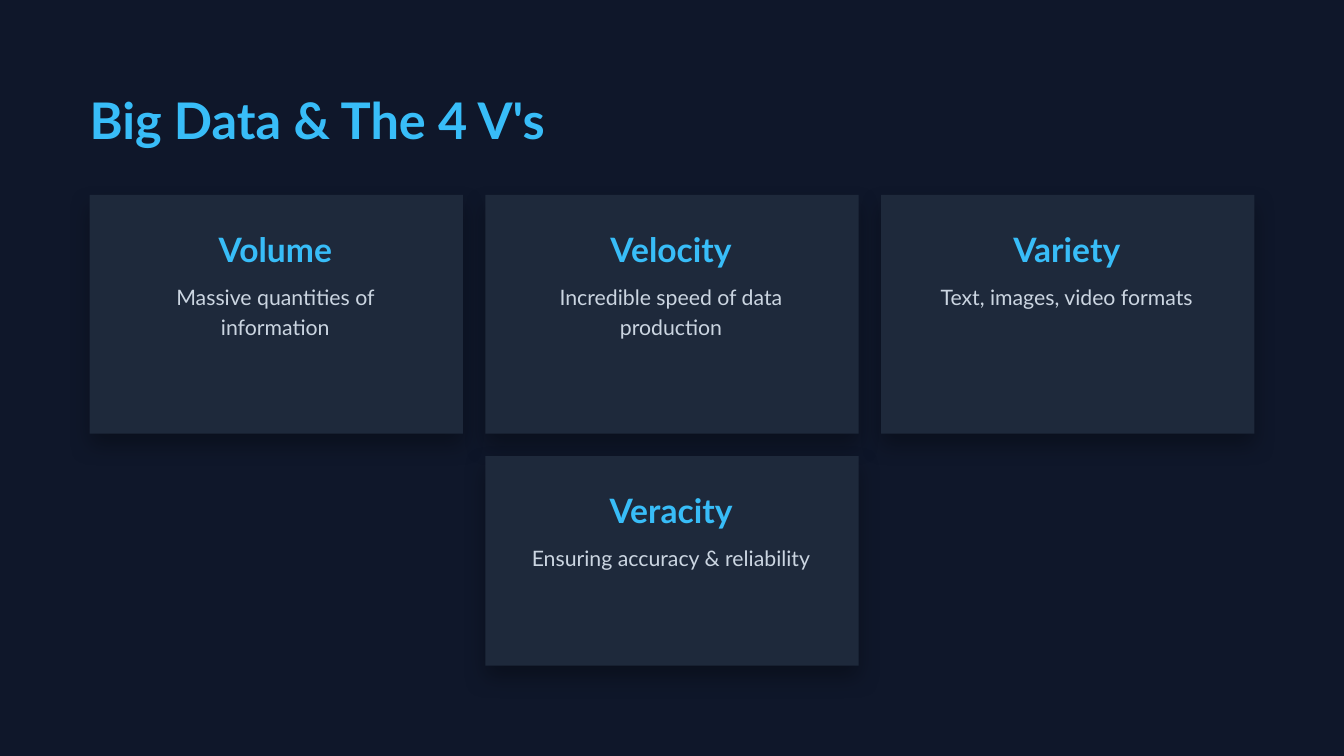
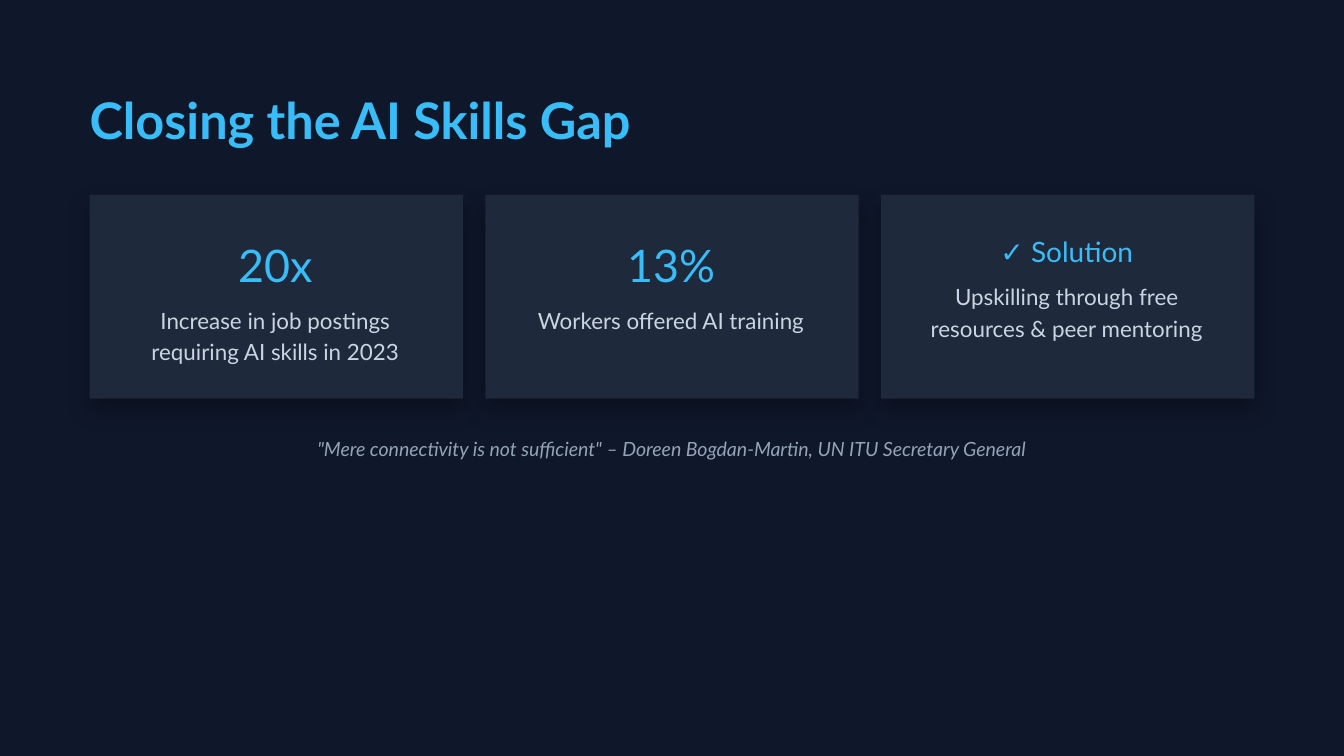
from lxml import etree
from pptx import Presentation
from pptx.dml.color import RGBColor
from pptx.enum import shapes, text
from pptx.oxml import ns
from pptx.util import Pt

NAVY, SLATE, SKY, MIST, GREY = "0F172A", "1E293B", "38BDF8", "CBD5E1", "94A3B8"
FONT = "Lato"
LEFT, TOP = 48, 104.4
CARD_WIDTH, GAP = 200, 12


def colour(value):
    """Turn a hex string into a colour."""
    return RGBColor.from_string(value)


def column_left(column):
    """Give the left edge of a card column."""
    return LEFT + column * (CARD_WIDTH + GAP)


class Deck:
    """Hold the style and the current slide."""

    def __init__(self):
        """Start an empty widescreen presentation."""
        self.presentation = Presentation()
        self.presentation.slide_width = Pt(720)
        self.presentation.slide_height = Pt(405)
        self.slide = None

    def add_slide(self, title):
        """Add a dark slide with its title."""
        self.slide = self.presentation.slides.add_slide(self.presentation.slide_layouts[6])
        fill = self.slide.background.fill
        fill.solid()
        fill.fore_color.rgb = colour(NAVY)
        self.label(title, LEFT, 48, 636.5, 27, 32.4, SKY, bold=True, centred=False)

    def label(self, words, left, top, width, size, leading, ink,
              bold=False, italic=False, centred=True, lines=1):
        """Add a text box with one styled paragraph."""
        box = self.slide.shapes.add_textbox(Pt(left), Pt(top), Pt(width), Pt(leading * lines))
        frame = box.text_frame
        frame.word_wrap = True
        frame.margin_left = frame.margin_top = frame.margin_right = frame.margin_bottom = 0
        frame.text = words
        paragraph = frame.paragraphs[0]
        paragraph.alignment = text.PP_ALIGN.CENTER if centred else text.PP_ALIGN.LEFT
        paragraph.line_spacing = Pt(leading)
        font = paragraph.runs[0].font
        font.name, font.size = FONT, Pt(size)
        font.bold, font.italic = bold, italic
        font.color.rgb = colour(ink)

    def panel(self, left, top, height):
        """Add a card background with a soft shadow below it."""
        panel = self.slide.shapes.add_shape(
            shapes.MSO_SHAPE.RECTANGLE, Pt(left), Pt(top), Pt(CARD_WIDTH), Pt(height))
        panel.fill.solid()
        panel.fill.fore_color.rgb = colour(SLATE)
        panel.line.fill.background()
        panel.shadow.inherit = False
        effects = panel._element.spPr.find(ns.qn("a:effectLst"))
        shadow = etree.SubElement(
            effects, ns.qn("a:outerShdw"), blurRad=str(Pt(12)), dist=str(Pt(6)),
            dir="5400000", algn="ctr", rotWithShape="0")
        black = etree.SubElement(shadow, ns.qn("a:srgbClr"), val="000000")
        etree.SubElement(black, ns.qn("a:alpha"), val="30000")

    def card(self, left, top, height, heading, body, heading_style, body_style,
             bold=False, lines=1):
        """Add a card with a heading and the body below it."""
        self.panel(left, top, height)
        heading_top = top + 18
        heading_size, heading_leading = heading_style
        self.label(heading, left + 16, heading_top, 167, heading_size, heading_leading,
                   SKY, bold=bold)
        self.label(body, left + 17.5, heading_top + heading_leading + 6, 164,
                   *body_style, MIST, lines=lines)


def add_big_data(deck):
    """Build the slide on the four V's."""
    deck.add_slide("Big Data & The 4 V's")
    upper_height, lower_height = 128, 112.3
    lower_top = TOP + upper_height + GAP
    for column, top, height, heading, body, lines in (
        (0, TOP, upper_height, "Volume", "Massive quantities of information", 2),
        (1, TOP, upper_height, "Velocity", "Incredible speed of data production", 2),
        (2, TOP, upper_height, "Variety", "Text, images, video formats", 1),
        (1, lower_top, lower_height, "Veracity", "Ensuring accuracy & reliability", 1),
    ):
        deck.card(column_left(column), top, height, heading, body,
                  (18, 21.6), (11.4, 16), bold=True, lines=lines)


def add_skills_gap(deck):
    """Build the slide on the skills gap."""
    deck.add_slide("Closing the AI Skills Gap")
    figure, phrase = (24, 33.6), (15, 21)
    facts = (
        ("20x", "Increase in job postings requiring AI skills in 2023", figure, 2),
        ("13%", "Workers offered AI training", figure, 1),
        ("✓ Solution", "Upskilling through free resources & peer mentoring", phrase, 2),
    )
    for column, (heading, body, heading_style, lines) in enumerate(facts):
        deck.card(column_left(column), TOP, 109.2, heading, body,
                  heading_style, (12, 16.8), lines=lines)
    deck.label('"Mere connectivity is not sufficient" – Doreen Bogdan-Martin, '
               "UN ITU Secretary General", 41.75, 232, 636.5, 10.5, 14.7, GREY, italic=True)


def main():
    """Build and save the presentation."""
    deck = Deck()
    add_big_data(deck)
    add_skills_gap(deck)
    deck.presentation.save("out.pptx")


if __name__ == "__main__":
    main()
